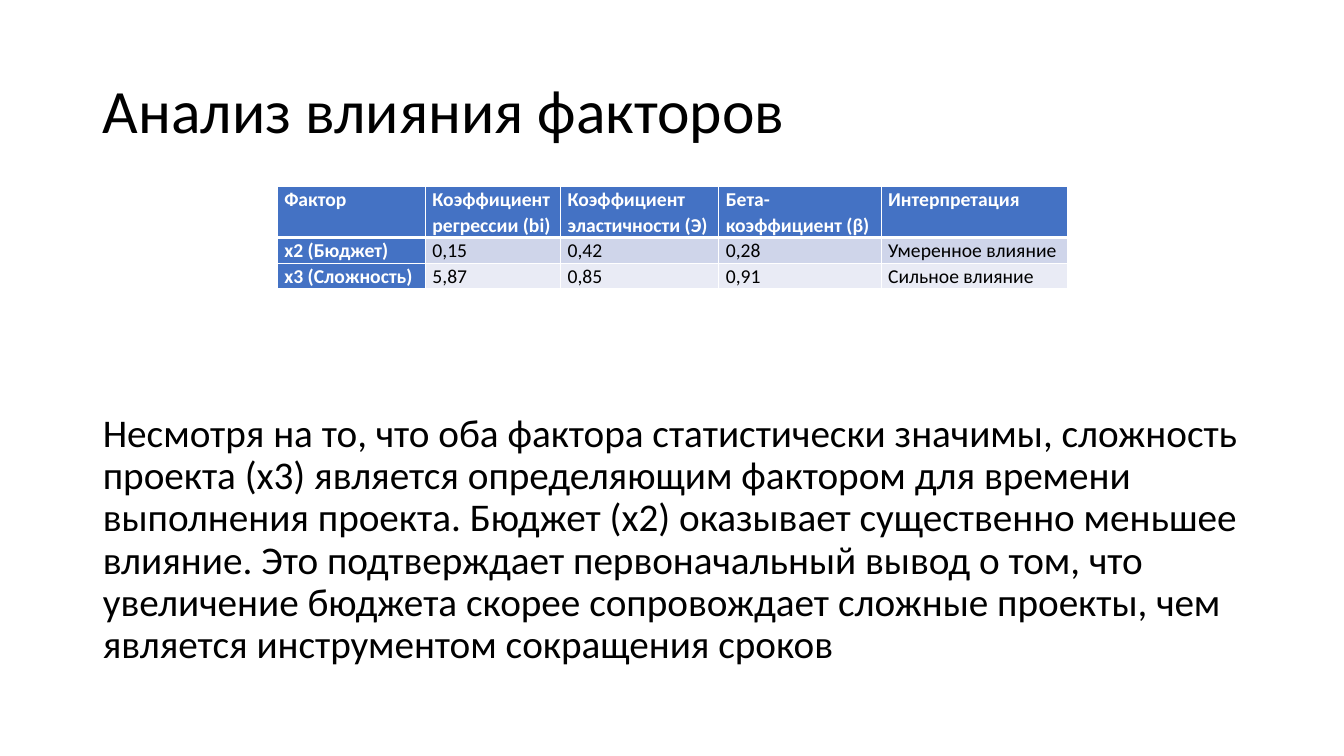
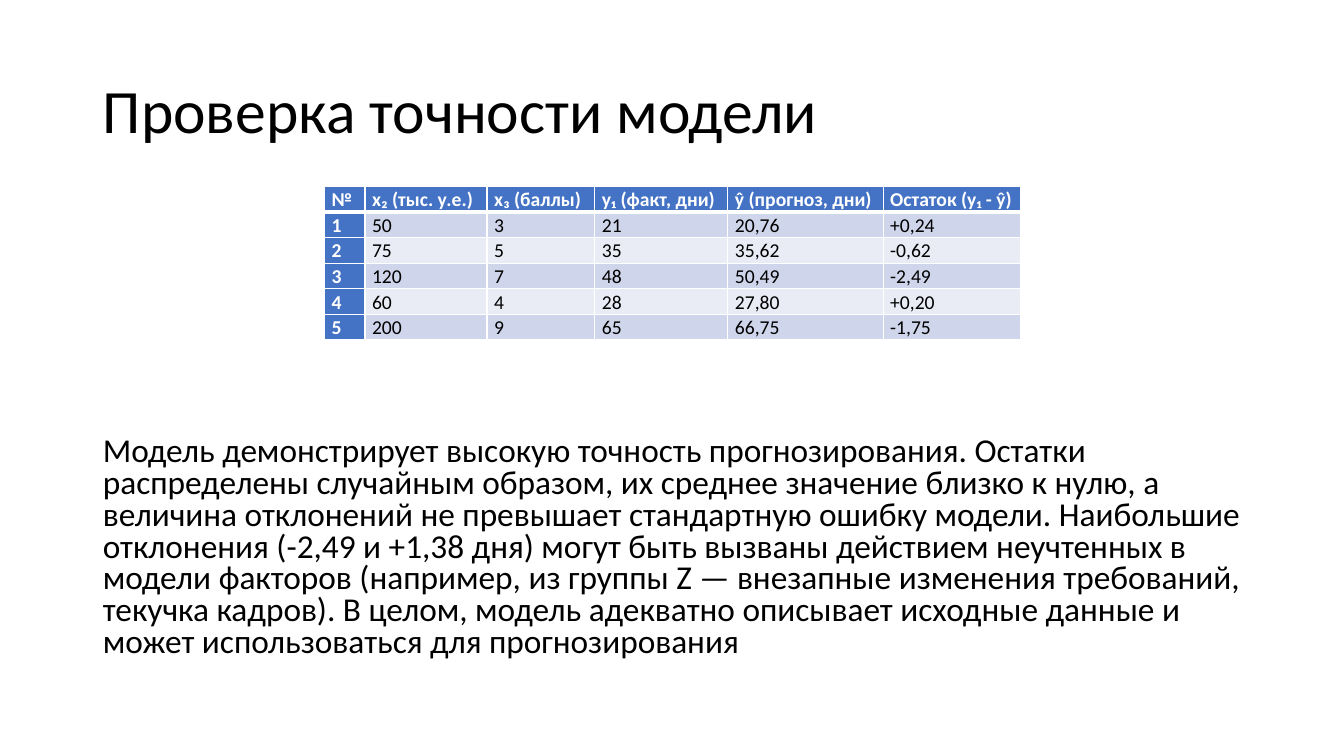
from pptx import Presentation
from pptx.dml.color import RGBColor
from pptx.enum import text as t
from pptx.oxml import parse_xml
from pptx.oxml.ns import nsdecls
from pptx.util import Inches, Pt

BLACK, WHITE, BLUE = "000000", "FFFFFF", "4472C4"
BANDS = ["CFD5EA", "E9EBF5"]
FONT = "Calibri"
LEFT, WIDTH, TABLE_TOP, BODY_BOTTOM = 0.92, 11.5, 1.85, 6.76
ROW_HEIGHT, CELL_MARGIN = 0.25, 0.07


def write(frame, words, size=14, color=BLACK, bold=False, align=t.PP_ALIGN.LEFT,
          spacing=0.9, before=0, after=0, anchor=t.MSO_ANCHOR.TOP):
    frame.word_wrap = True
    frame.vertical_anchor = anchor
    paragraph = frame.paragraphs[0]
    paragraph.alignment = align
    paragraph.line_spacing = spacing
    paragraph.space_before = Pt(before)
    paragraph.space_after = Pt(after)
    run = paragraph.add_run()
    run.text = words
    run.font.name = FONT
    run.font.size = Pt(size)
    run.font.bold = bold
    run.font.color.rgb = RGBColor.from_string(color)
    return paragraph


def style_cell(cell, fill, bottom_width):
    cell.margin_left = cell.margin_right = Inches(CELL_MARGIN)
    cell.margin_top = cell.margin_bottom = 0
    properties = cell._tc.get_or_add_tcPr()
    for side, width in (("L", 1), ("R", 1), ("T", 1), ("B", bottom_width)):
        properties.append(parse_xml(
            f'<a:ln{side} {nsdecls("a")} w="{Pt(width)}"><a:solidFill>'
            f'<a:srgbClr val="{WHITE}"/></a:solidFill></a:ln{side}>'))
    cell.fill.solid()
    cell.fill.fore_color.rgb = RGBColor.from_string(fill)


pages = [
    {
        "title": "Анализ влияния факторов",
        "conclusion": "Несмотря на то, что оба фактора статистически значимы, сложность проекта (x3) "
                      "является определяющим фактором для времени выполнения проекта. Бюджет (x2) "
                      "оказывает существенно меньшее влияние. Это подтверждает первоначальный вывод "
                      "о том, что увеличение бюджета скорее сопровождает сложные проекты, чем "
                      "является инструментом сокращения сроков",
        "top": 4.05, "size": 28, "spacing": 0.9,
        "table_left": 2.75,
        "columns": [1.47, 1.34, 1.57, 1.61, 1.85],
        "rows": [
            ["Фактор", "Коэффициент регрессии (bi)", "Коэффициент эластичности (Э)",
             "Бета-коэффициент (β)", "Интерпретация"],
            ["x2 (Бюджет)", "0,15", "0,42", "0,28", "Умеренное влияние"],
            ["x3 (Сложность)", "5,87", "0,85", "0,91", "Сильное влияние"],
        ],
    },
    {
        "title": "Проверка точности модели",
        "conclusion": "Модель демонстрирует высокую точность прогнозирования. Остатки распределены "
                      "случайным образом, их среднее значение близко к нулю, а величина отклонений "
                      "не превышает стандартную ошибку модели. Наибольшие отклонения (-2,49 и +1,38 "
                      "дня) могут быть вызваны действием неучтенных в модели факторов (например, из "
                      "группы Z — внезапные изменения требований, текучка кадров). В целом, модель "
                      "адекватно описывает исходные данные и может использоваться для прогнозирования",
        "top": 4.28, "size": 23.8, "spacing": 0.8,
        "table_left": 3.22,
        "columns": [0.4, 1.21, 1.07, 1.32, 1.54, 1.36],
        "rows": [
            ["№", "x₂ (тыс. у.е.)", "x₃ (баллы)", "y₁ (факт, дни)", "ŷ (прогноз, дни)",
             "Остаток (y₁ - ŷ)"],
            ["1", "50", "3", "21", "20,76", "+0,24"],
            ["2", "75", "5", "35", "35,62", "-0,62"],
            ["3", "120", "7", "48", "50,49", "-2,49"],
            ["4", "60", "4", "28", "27,80", "+0,20"],
            ["5", "200", "9", "65", "66,75", "-1,75"],
        ],
    },
]

deck = Presentation()
deck.slide_width, deck.slide_height = Inches(13.33), Inches(7.5)

for page in pages:
    slide = deck.slides.add_slide(deck.slide_layouts[1])
    title, conclusion = slide.placeholders
    for part, top, height in ((title, 0.4, 1.45),
                              (conclusion, page["top"], BODY_BOTTOM - page["top"])):
        part.left, part.top = Inches(LEFT), Inches(top)
        part.width, part.height = Inches(WIDTH), Inches(height)
        part.text_frame.auto_size = t.MSO_AUTO_SIZE.NONE
    write(title.text_frame, page["title"], size=44, anchor=t.MSO_ANCHOR.MIDDLE)
    paragraph = write(conclusion.text_frame, page["conclusion"], size=page["size"],
                      spacing=page["spacing"], before=10)
    bullet = paragraph._p.get_or_add_pPr()
    bullet.set("marL", "0")
    bullet.set("indent", "0")
    bullet.append(parse_xml(f'<a:buNone {nsdecls("a")}/>'))

    rows, columns = page["rows"], page["columns"]
    factors = slide.shapes.add_table(
        len(rows), len(columns), Inches(page["table_left"]), Inches(TABLE_TOP),
        Inches(sum(columns)), Inches(ROW_HEIGHT * len(rows))).table
    factors.first_col = True
    for column, width in zip(factors.columns, columns):
        column.width = Inches(width)
    for r, values in enumerate(rows):
        for c, value in enumerate(values):
            heading = r == 0 or c == 0
            cell = factors.cell(r, c)
            style_cell(cell, BLUE if heading else BANDS[(r - 1) % 2], 3 if r == 0 else 1)
            write(cell.text_frame, value, color=WHITE if heading else BLACK, bold=heading,
                  align=t.PP_ALIGN.JUSTIFY, spacing=1.07, after=8)

deck.save("out.pptx")
